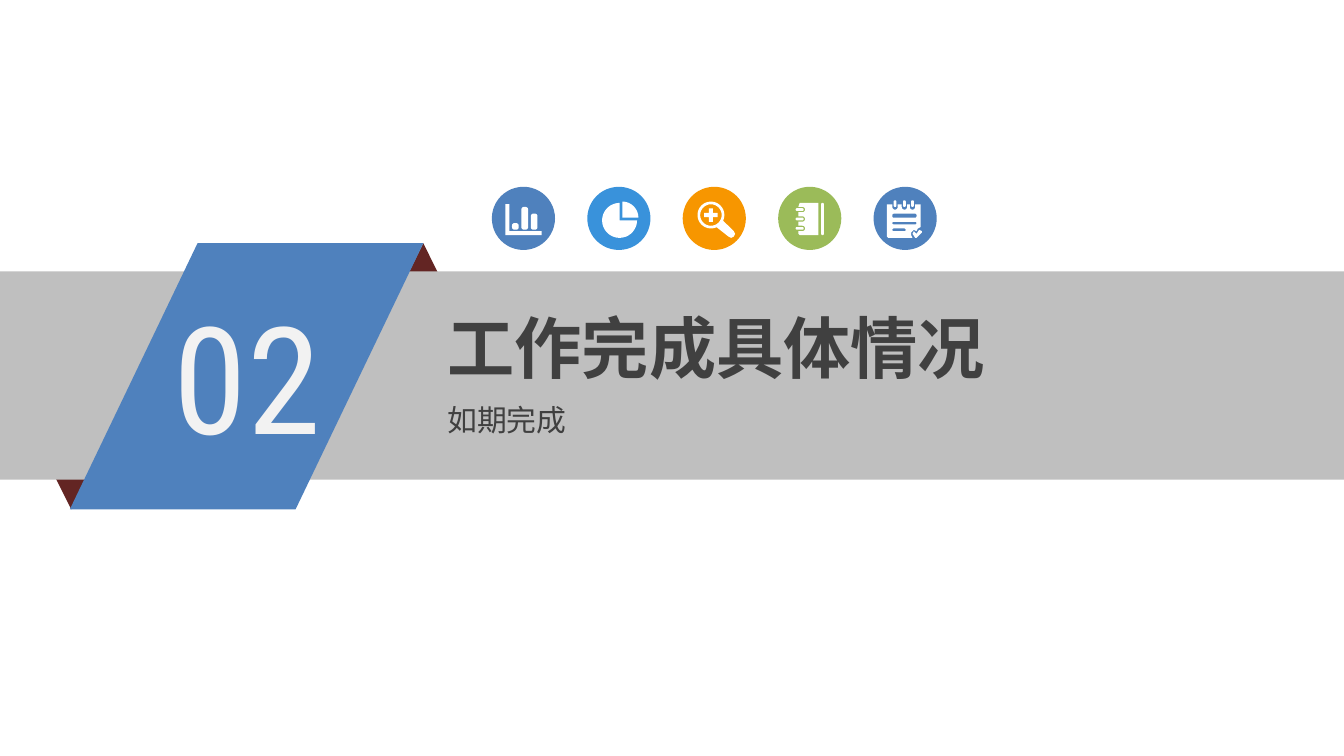
from dataclasses import dataclass
from math import cos, radians, sin

from lxml import etree
from pptx import Presentation
from pptx import util as u
from pptx.dml.color import RGBColor
from pptx.enum import shapes, text
from pptx.oxml import ns


@dataclass
class Theme:
    blue: str = "4F81BD"
    sky: str = "3992DB"
    orange: str = "F79600"
    green: str = "9BBB59"
    fold: str = "632523"
    band: str = "BFBFBF"
    ink: str = "404040"
    pale: str = "F2F2F2"
    white: str = "FFFFFF"
    number_size: int = 80
    title_size: int = 36
    note_size: int = 16
    number_font: str = "Roboto Condensed"
    text_font: str = "Noto Sans CJK SC"


def arc(cx, cy, r, start, end, steps=32):
    """Points along a circle, clockwise, angles in degrees."""
    angles = [radians(start + (end - start) * i / steps) for i in range(steps + 1)]
    return [(cx + r * cos(a), cy + r * sin(a)) for a in angles]


def rounded(left, top, right, bottom, r=0.01):
    """Outline of a rectangle with rounded corners."""
    corners = [(right - r, top + r, -90), (right - r, bottom - r, 0),
               (left + r, bottom - r, 90), (left + r, top + r, 180)]
    return [pt for x, y, a in corners for pt in arc(x, y, r, a, a + 90, 6)]


t = Theme()
kind = shapes.MSO_SHAPE
prs = Presentation()
prs.slide_width = u.Inches(10)
prs.slide_height = u.Inches(10 * 9 / 16)
s = prs.slides.add_slide(prs.slide_layouts[6])

# Icon outlines, in inches from the top left of their disc
bar_chart = [
    [(0.1, 0.13), (0.13, 0.13), (0.13, 0.33), (0.37, 0.33), (0.37, 0.36), (0.1, 0.36)],
    rounded(0.15, 0.27, 0.2, 0.32, 0.02),
    rounded(0.22, 0.15, 0.27, 0.32, 0.02),
    rounded(0.29, 0.2, 0.34, 0.32, 0.02),
]
pie_chart = [
    [(0.26, 0.23)] + arc(0.26, 0.23, 0.12, -90, 0),
    [(0.24, 0.25)] + arc(0.24, 0.25, 0.13, 0, 270),
]
arm, half = 0.05, 0.03 / 2
plus = [(-half, -arm), (half, -arm), (half, -half), (arm, -half), (arm, half),
        (half, half), (half, arm), (-half, arm), (-half, half), (-arm, half),
        (-arm, -half), (-half, -half)]
magnifier = [
    arc(0.21, 0.21, 0.1, 65, 385)
    + [(0.38, 0.33), (0.39, 0.35), (0.38, 0.37), (0.36, 0.38), (0.34, 0.37)],
    arc(0.21, 0.21, 0.08, 0, 360),
    [(0.21 + x, 0.21 + y) for x, y in plus],
]
ring_rows = [0.17, 0.24, 0.31]
cover = [(0.3, 0.36), (0.3, 0.12), (0.16, 0.12)]
for y in ring_rows:
    cover += [(0.15, y - 0.02)] + arc(0.18, y, 0.02, -90, 90) + [(0.15, y + 0.02)]
cover += [(0.15, 0.35), (0.16, 0.36)]
notebook = [cover, rounded(0.32, 0.12, 0.34, 0.36)]
notebook += [rounded(0.13, y - 0.01, 0.19, y + 0.01) for y in ring_rows]

ring_columns = [0.16, 0.23, 0.29]
page = [(0.1, 0.37), (0.1, 0.13)]
for x in ring_columns:
    page += [(x - 0.02, 0.13)] + arc(x, 0.15, 0.02, 180, 0) + [(x + 0.02, 0.13)]
page += [(0.35, 0.13), (0.35, 0.3), (0.33, 0.31), (0.32, 0.33), (0.3, 0.32),
         (0.28, 0.34), (0.28, 0.36), (0.29, 0.38), (0.11, 0.38)]
check = [(0.29, 0.35), (0.3, 0.33), (0.32, 0.35), (0.34, 0.32), (0.36, 0.33),
         (0.36, 0.34), (0.32, 0.38), (0.31, 0.38)]
notepad = [page, check, rounded(0.14, 0.2, 0.32, 0.23),
           rounded(0.14, 0.26, 0.32, 0.28), rounded(0.14, 0.31, 0.24, 0.33)]
notepad += [rounded(x - 0.01, 0.1, x + 0.01, 0.15) for x in ring_columns]

icons = [(bar_chart, t.blue), (pie_chart, t.sky), (magnifier, t.orange),
         (notebook, t.green), (notepad, t.blue)]
disc, first, pitch, icon_top = 0.47, 3.66, 0.71, 1.39

# Ribbon and icon discs
blocks = [
    (kind.ISOSCELES_TRIANGLE, (2.7, 1.81, 0.9, 0.91), t.fold, {}),
    (kind.ISOSCELES_TRIANGLE, (0.08, 2.89, 0.9, 0.9), t.fold, {"rotation": 180}),
    (kind.RECTANGLE, (0, 2.02, 10, 1.55), t.band, {}),
    (kind.PARALLELOGRAM, (0.52, 1.81, 2.63, 1.98), t.blue, {}),
]
blocks += [(kind.OVAL, (first + i * pitch, icon_top, disc, disc), color, {})
           for i, (_, color) in enumerate(icons)]
drawn = []
for shape_kind, box, color, extra in blocks:
    sp = s.shapes.add_shape(shape_kind, *map(u.Inches, box))
    if shape_kind == kind.PARALLELOGRAM:
        sp.adjustments[0] = 0.48
    for name, value in extra.items():
        setattr(sp, name, value)
    drawn.append((sp, color))

# White icons on the discs
for i, (outlines, _) in enumerate(icons):
    placed = [[(u.Inches(first + i * pitch + x), u.Inches(icon_top + y)) for x, y in outline]
              for outline in outlines]
    pen = s.shapes.build_freeform(*placed[0][0])
    for outline in placed:
        pen.move_to(*outline[0])
        pen.add_line_segments(outline[1:], close=True)
    drawn.append((pen.convert_to_shape(), t.white))

for sp, color in drawn:
    sp.shadow.inherit = False
    sp.fill.solid()
    sp.fill.fore_color.rgb = RGBColor.from_string(color)
    sp.line.fill.background()

# Section number, title and note
texts = [
    ("02", (1.22, 2.08, 1.45, 1.42), 0.07, t.pale,
     {"name": t.number_font, "size": u.Pt(t.number_size)}),
    ("工作完成具体情况", (3.26, 2.24, 5.52, 0.68), 0.07, t.ink,
     {"name": t.text_font, "size": u.Pt(t.title_size), "bold": True}),
    ("如期完成", (3.26, 2.95, 3.36, 0.35), 0.07, t.ink,
     {"name": t.text_font, "size": u.Pt(t.note_size)}),
]
for words, box, side, color, font in texts:
    tf = s.shapes.add_textbox(*map(u.Inches, box)).text_frame
    frame = {"word_wrap": True, "auto_size": text.MSO_AUTO_SIZE.SHAPE_TO_FIT_TEXT,
             "margin_left": u.Inches(side), "margin_right": u.Inches(side),
             "margin_top": u.Inches(0.04), "margin_bottom": u.Inches(0.04)}
    for name, value in frame.items():
        setattr(tf, name, value)
    r = tf.paragraphs[0].add_run()
    r.text = words
    for name, value in font.items():
        setattr(r.font, name, value)
    r.font.color.rgb = RGBColor.from_string(color)
    # East Asian typeface
    etree.SubElement(r.font._element, ns.qn("a:ea"), typeface=font["name"])

prs.save("out.pptx")
